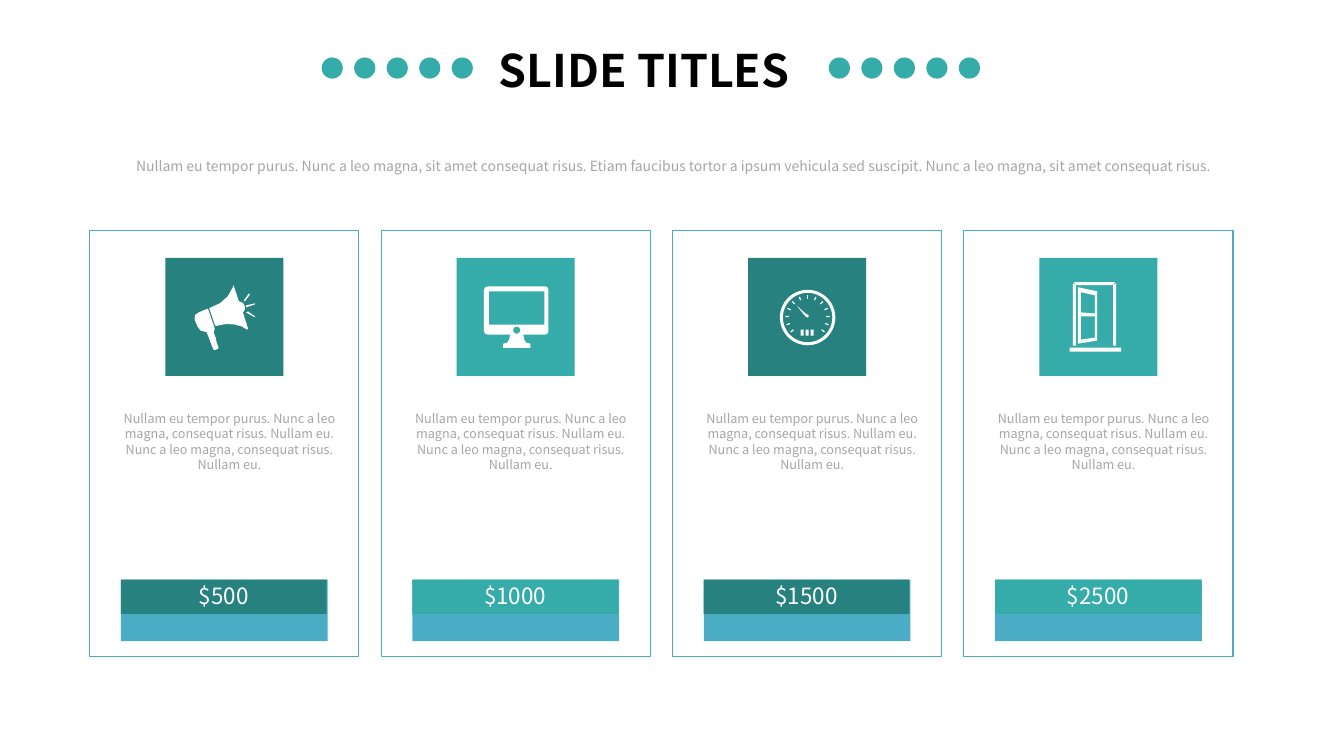
from dataclasses import dataclass
from math import cos, pi, radians, sin

from pptx import Presentation
from pptx.dml.color import RGBColor
from pptx.enum.shapes import MSO_SHAPE
from pptx.enum.text import MSO_ANCHOR, MSO_AUTO_SIZE, PP_ALIGN
from pptx.util import Inches, Pt


@dataclass(frozen=True)
class Theme:
    """Colours, font and type sizes of the slide."""
    font: str = "Noto Sans CJK JP"
    black: str = "000000"
    white: str = "FFFFFF"
    grey: str = "A6A6A6"
    teal: str = "35ACA9"
    dark_teal: str = "27817E"
    blue: str = "4BACC6"
    title: int = 32
    price: int = 16
    intro: int = 10
    body: int = 9


THEME = Theme()
INTRO = ("Nullam eu tempor purus. Nunc a leo magna, sit amet consequat risus. "
         "Etiam faucibus tortor a ipsum vehicula sed suscipit. "
         "Nunc a leo magna, sit amet consequat risus.")
OFFER = ("Nullam eu tempor purus. Nunc a leo magna, consequat risus. Nullam eu. "
         "Nunc a leo magna, consequat risus. Nullam eu.")

HANDLE = [(48, 74), (49, 70), (43, 52), (42, 50.5), (40, 51), (33, 54), (29.5, 56.5),
          (29, 61), (32, 68), (35, 72), (39, 73), (41, 73.5), (42, 76), (47, 89),
          (48, 91), (50, 91), (53, 89.5), (51, 84), (50, 79)]
HORN = [(77, 54), (79, 51), (79, 48), (77, 44.5), (73, 43), (68, 28), (67.5, 27),
        (67, 29), (62, 38), (54, 45), (45, 49), (43.5, 50), (44, 51), (49, 66),
        (50, 67.5), (52, 67), (60, 65.5), (69, 66), (76, 68), (81, 71), (82, 70)]
RAYS = [[(84, 36), (83, 35), (78, 42), (79, 43)],
        [(80, 54), (89, 59), (89, 58), (82, 53)],
        [(80, 49), (89, 46), (89, 45), (80, 47)]]
MONITOR = [(31, 28), (88, 28), (90, 29), (91, 32), (91, 72), (90, 75), (88, 76),
           (66, 76), (67, 81), (69, 84), (73, 85), (73, 89), (46, 89), (46, 85),
           (50, 84), (52, 81), (53, 76), (31, 76), (28, 75), (27, 72), (27, 32), (28, 29)]
SCREEN = [(32, 33), (87, 33), (87, 66), (32, 66)]
NEEDLE = [(48, 47), (57, 58), (59, 59), (60, 58), (60, 56.5), (59, 56), (58, 56)]
DOOR_FRAME = [[(36, 27), (33, 25), (33, 87), (36, 87)],
              [(73, 27), (75, 24), (34, 24), (36, 27)],
              [(73, 27), (73, 87), (76, 87), (76, 25)]]
DOOR_LEAF = [[(38, 29), (38, 85), (57, 82), (57, 33)],
             [(41, 34), (55, 37), (55, 55), (41, 54)],
             [(41, 58), (55, 58), (55, 79), (41, 81)]]


def paint(part, fill=None, line=None):
    """Set fill and outline of a shape and remove its shadow."""
    part.shadow.inherit = False
    if fill:
        part.fill.solid()
        part.fill.fore_color.rgb = RGBColor.from_string(fill)
    else:
        part.fill.background()
    if line:
        part.line.color.rgb = RGBColor.from_string(line)
        part.line.width = Pt(0.75)
    else:
        part.line.fill.background()
    return part


def add_block(shapes, left, top, width, height, fill=None, line=None,
              preset=MSO_SHAPE.RECTANGLE):
    """Add a painted preset shape."""
    block = shapes.add_shape(preset, Inches(left), Inches(top), Inches(width), Inches(height))
    return paint(block, fill, line)


def write(holder, text, size, color, bold=False, align=PP_ALIGN.CENTER,
          anchor=MSO_ANCHOR.TOP, wrap=True, inset=(0.07, 0.03)):
    """Put one formatted paragraph into a shape or text box."""
    frame = holder.text_frame
    frame.margin_left = frame.margin_right = Inches(inset[0])
    frame.margin_top = frame.margin_bottom = Inches(inset[1])
    frame.word_wrap = wrap
    frame.auto_size = MSO_AUTO_SIZE.SHAPE_TO_FIT_TEXT
    frame.vertical_anchor = anchor
    paragraph = frame.paragraphs[0]
    paragraph.alignment = align
    run = paragraph.add_run()
    run.text = text
    run.font.name = THEME.font
    run.font.size = Pt(size)
    run.font.bold = bold
    run.font.color.rgb = RGBColor.from_string(color)


def add_text(shapes, left, top, width, height, text, **style):
    """Add a text box with one formatted paragraph."""
    box = shapes.add_textbox(Inches(left), Inches(top), Inches(width), Inches(height))
    write(box, text, **style)


def add_outline(shapes, left, top, *contours):
    """Draw white contours, given in hundredths of an inch, as one freeform."""
    placed = [[(Inches(left + x / 100), Inches(top + y / 100)) for x, y in contour]
              for contour in contours]
    builder = shapes.build_freeform(*placed[0][0])
    builder.add_line_segments(placed[0][1:])
    for contour in placed[1:]:
        builder.move_to(*contour[0])
        builder.add_line_segments(contour[1:])
    paint(builder.convert_to_shape(), THEME.white)


def ring(x, y, radius, steps=60):
    """Return the points of a circle."""
    return [(x + radius * cos(2 * pi * step / steps), y + radius * sin(2 * pi * step / steps))
            for step in range(steps)]


def tick(angle, inner=18.5, outer=22, half=0.6):
    """Return the corners of a gauge mark, its angle measured from the top."""
    across, up = sin(radians(angle)), cos(radians(angle))
    return [(59 + r * across + side * up, 59 - r * up + side * across)
            for r, side in ((inner, -half), (outer, -half), (outer, half), (inner, half))]


def megaphone(shapes, left, top):
    """Draw the megaphone icon on its tile."""
    for contour in (HANDLE, HORN, *RAYS):
        add_outline(shapes, left, top, contour)


def monitor(shapes, left, top):
    """Draw the monitor icon on its tile."""
    add_outline(shapes, left, top, MONITOR, SCREEN, ring(59.5, 71.5, 3.5))


def gauge(shapes, left, top):
    """Draw the gauge icon on its tile."""
    add_outline(shapes, left, top, ring(59, 59, 27.5), ring(59, 59, 24.5))
    add_outline(shapes, left, top, NEEDLE)
    for index in range(3):
        add_block(shapes, left + 0.52 + 0.05 * index, top + 0.71, 0.03, 0.06, THEME.white)
    for index in range(-6, 7):
        add_outline(shapes, left, top, tick(index * 21.8))


def door(shapes, left, top):
    """Draw the open door icon on its tile."""
    for contour in DOOR_FRAME:
        add_outline(shapes, left, top, contour)
    add_block(shapes, left + 0.3, top + 0.89, 0.51, 0.04, THEME.white)
    add_outline(shapes, left, top, *DOOR_LEAF)


def add_heading(shapes, left, top):
    """Place the title between two rows of dots."""
    add_text(shapes, left + 1.66, top, 3.27, 0.64, "SLIDE TITLES", size=THEME.title,
             color=THEME.black, bold=True, align=PP_ALIGN.LEFT, wrap=False, inset=(0.1, 0.05))
    for row_left in (left, left + 5.03):
        for index in range(5):
            add_block(shapes, row_left + 1.29 * index / 4, top + 0.2, 0.21, 0.21,
                      THEME.teal, preset=MSO_SHAPE.OVAL)


def add_card(shapes, left, top, price, accent, draw_icon):
    """Place one price card with its icon, text and price bar."""
    add_block(shapes, left, top, 2.67, 4.22, line=THEME.blue)
    add_block(shapes, left + 0.75, top + 0.27, 1.17, 1.17, accent)
    add_text(shapes, left + 0.22, top + 1.76, 2.33, 0.67, OFFER,
             size=THEME.body, color=THEME.grey)
    add_block(shapes, left + 0.31, top + 3.46, 2.05, 0.61, THEME.blue)
    price_bar = add_block(shapes, left + 0.31, top + 3.46, 2.04, 0.34, accent)
    write(price_bar, price, size=THEME.price, color=THEME.white)
    draw_icon(shapes.add_group_shape().shapes, left + 0.75, top + 0.27)


def main():
    """Build and save the slide."""
    deck = Presentation()
    deck.slide_width, deck.slide_height = Inches(13.33), Inches(7.5)
    shapes = deck.slides.add_slide(deck.slide_layouts[6]).shapes
    add_text(shapes, 0.81, 1.45, 11.73, 0.4, INTRO, size=THEME.intro,
             color=THEME.grey, anchor=MSO_ANCHOR.MIDDLE)
    cards = [("$500", THEME.dark_teal, megaphone), ("$1000", THEME.teal, monitor),
             ("$1500", THEME.dark_teal, gauge), ("$2500", THEME.teal, door)]
    for index, card in enumerate(cards):
        add_card(shapes, 0.89 + 2.89 * index, 2.29, *card)
    add_heading(shapes.add_group_shape().shapes, 3.19, 0.37)
    deck.save("out.pptx")


if __name__ == "__main__":
    main()
